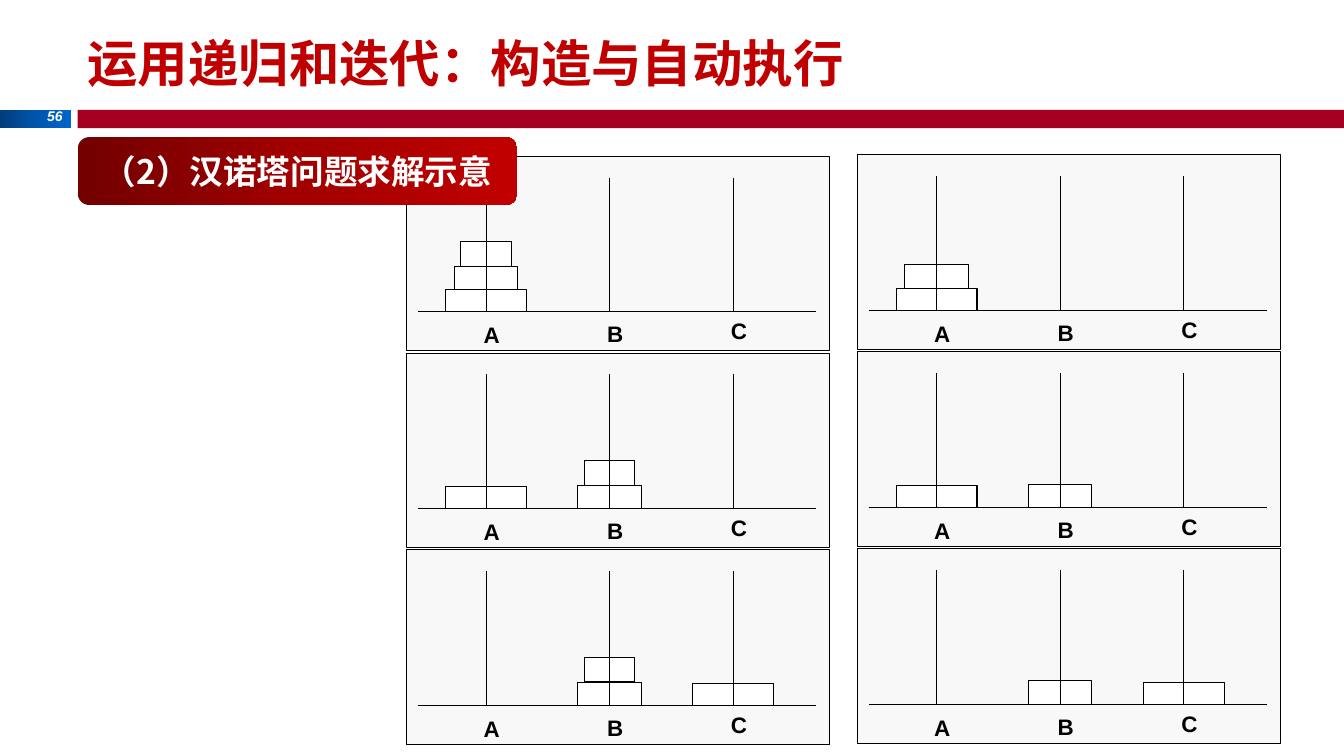
from copy import deepcopy

from lxml import etree
from pptx import Presentation
from pptx.dml.color import RGBColor
from pptx.enum import shapes, text
from pptx.oxml import ns
from pptx.util import Pt

COLORS = {
    "black": "000000", "white": "FFFFFF", "panel": "F8F8F8",
    "title": "C00000", "bar": "A50021",
}
BLUES = ("003C79", "0056AC", "0066CC")
REDS = ("720000", "A20000", "C00000")
LATIN, CHINESE = "Arial", "Noto Sans CJK SC"

PANEL_SIZE = (302.4, 139)
PANEL_LEFTS = (290.4, 612.2)
PANEL_TOPS = (111.5, 252.2, 392.8)
BASE_Y = 111
PEG_TOP = 15.3
PEGS = {"A": 56.8, "B": 145, "C": 233.4}
LABEL_TOPS = {"A": 114.5, "B": 114, "C": 111.8}
DISKS = {"large": (57.8, 15.8), "medium": (45.6, 16.6), "small": (36.2, 17.3)}
STATES = (
    ({"A": ("large", "medium", "small")}, {"A": ("large", "medium")}),
    ({"A": ("large",), "B": ("medium", "small")},
     {"A": ("large",), "B": ("medium",)}),
    ({"B": ("medium", "small"), "C": ("large",)},
     {"B": ("medium",), "C": ("large",)}),
)


def rgb(color):
    """Return the RGB value of a named colour."""
    return RGBColor.from_string(COLORS[color])


def add_block(parent, left, top, width, height, color=None, outlined=False,
              kind=shapes.MSO_SHAPE.RECTANGLE):
    """Add a preset shape with an optional fill and thin black outline."""
    block = parent.add_shape(kind, Pt(left), Pt(top), Pt(width), Pt(height))
    block.shadow.inherit = False
    if color:
        block.fill.solid()
        block.fill.fore_color.rgb = rgb(color)
    if outlined:
        block.line.color.rgb = rgb("black")
        block.line.width = Pt(0.75)
    else:
        block.line.fill.background()
    return block


def fill_gradient(block, hexes):
    """Fill a shape with a three-stop gradient from left to right."""
    block.fill.gradient()
    block.fill.gradient_angle = 0
    stop_list = block._element.spPr.find(".//" + ns.qn("a:gsLst"))
    stop_list.insert(1, deepcopy(stop_list[0]))
    for stop, color, position in zip(block.fill.gradient_stops, hexes, (0, 0.5, 1)):
        stop.color.rgb = RGBColor.from_string(color)
        stop.position = position


def write(shape, words, size, color, font=LATIN, align=text.PP_ALIGN.LEFT,
          italic=False, wrap=True, anchor=text.MSO_ANCHOR.MIDDLE):
    """Write one bold line of text into a shape."""
    frame = shape.text_frame
    frame.text = words
    frame.word_wrap = wrap
    frame.vertical_anchor = anchor
    para = frame.paragraphs[0]
    para.alignment = align
    span = para.runs[0]
    span.font.name = font
    span.font.size = Pt(size)
    span.font.bold = True
    span.font.italic = italic
    span.font.color.rgb = rgb(color)
    east_asian = etree.SubElement(span.font._element, ns.qn("a:ea"))
    east_asian.set("typeface", font)


def add_box(parent, left, top, width, height, words, size, color, **style):
    """Add a text box holding one line."""
    box = parent.add_textbox(Pt(left), Pt(top), Pt(width), Pt(height))
    write(box, words, size, color, **style)


def add_line(parent, x1, y1, x2, y2):
    """Add a thin black straight line."""
    line = parent.add_connector(
        shapes.MSO_CONNECTOR.STRAIGHT, Pt(x1), Pt(y1), Pt(x2), Pt(y2))
    line.line.color.rgb = rgb("black")
    line.line.width = Pt(0.75)
    etree.SubElement(line._element.spPr, ns.qn("a:effectLst"))


def add_panel(page, left, top, state):
    """Draw one state of the three-peg puzzle as a group."""
    panel = page.shapes.add_group_shape().shapes
    add_block(panel, left, top, *PANEL_SIZE, "panel", outlined=True)
    base = top + BASE_Y
    for peg, disks in state.items():
        level = base
        for disk in disks:
            width, height = DISKS[disk]
            level -= height
            add_block(panel, left + PEGS[peg] - width / 2, level, width, height,
                      "white", outlined=True)
    add_line(panel, left + 8.2, base, left + 292.6, base)
    for peg, offset in PEGS.items():
        x = left + offset
        add_line(panel, x, top + PEG_TOP, x, base)
        add_box(panel, x - 8.8, top + LABEL_TOPS[peg], 25.9, 26.6, peg, 16,
                "black", wrap=False, anchor=text.MSO_ANCHOR.TOP)


def main():
    """Build and save the slide."""
    deck = Presentation()
    deck.slide_width, deck.slide_height = Pt(960), Pt(540)
    page = deck.slides.add_slide(deck.slide_layouts[6])

    number_bar = add_block(page.shapes, 0, 78.5, 51, 13)
    fill_gradient(number_bar, BLUES)
    add_block(page.shapes, 55.4, 78.5, 904.6, 13, "bar")
    add_box(page.shapes, 25.2, 73.6, 26.6, 19.4, "56", 10, "white", italic=True,
            align=text.PP_ALIGN.RIGHT, wrap=False, anchor=text.MSO_ANCHOR.TOP)

    for column, left in enumerate(PANEL_LEFTS):
        for row, top in enumerate(PANEL_TOPS):
            add_panel(page, left, top - 0.8 * column, STATES[row][column])

    heading = add_block(page.shapes, 55.6, 98, 313.8, 48.4,
                        kind=shapes.MSO_SHAPE.ROUNDED_RECTANGLE)
    fill_gradient(heading, REDS)
    write(heading, "（2）汉诺塔问题求解示意", 24, "white", font=CHINESE,
          align=text.PP_ALIGN.CENTER)
    add_box(page.shapes, 55.4, 14.4, 840.2, 59.8,
            "运用递归和迭代：构造与自动执行", 36, "title", font=CHINESE)
    deck.save("out.pptx")


if __name__ == "__main__":
    main()
